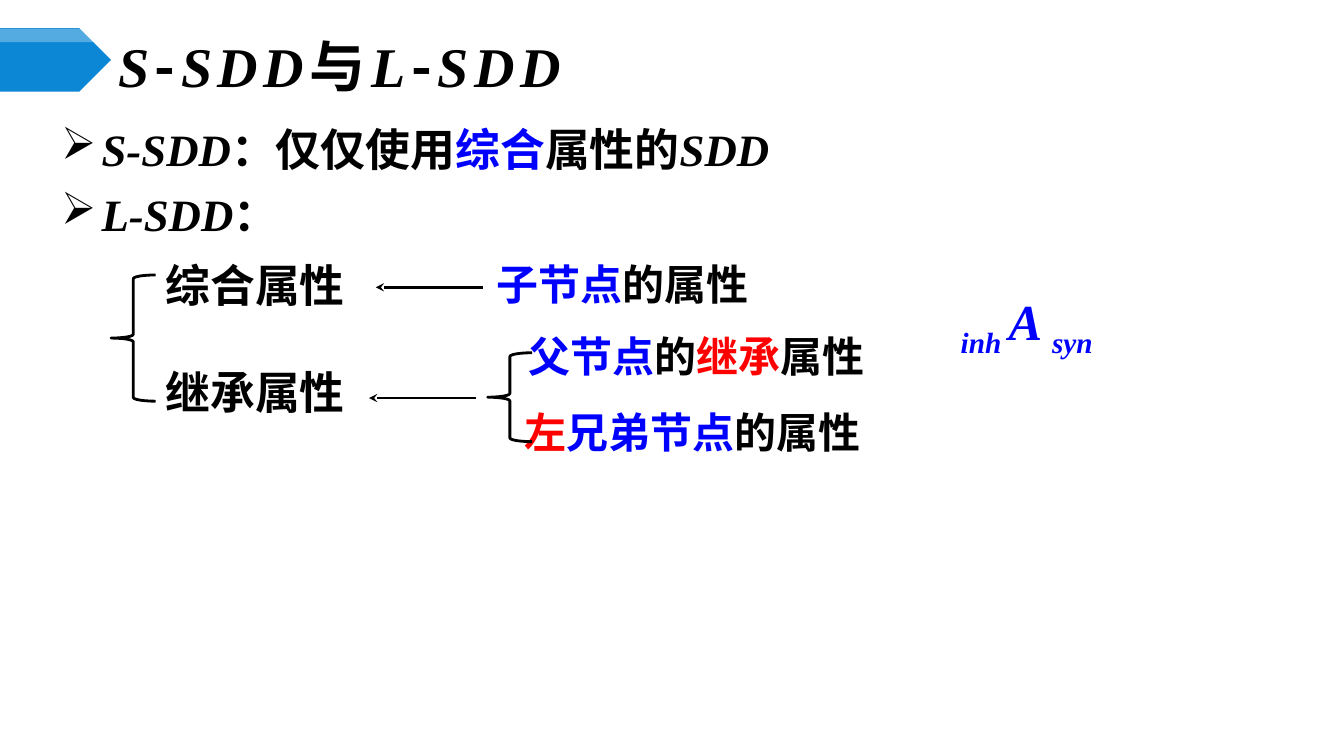
from dataclasses import dataclass

from pptx import Presentation
from pptx.dml.color import RGBColor
from pptx.enum.shapes import MSO_CONNECTOR as CONN, MSO_SHAPE as SHAPE
from pptx.enum.text import MSO_ANCHOR as ANCHOR, PP_ALIGN as ALIGN
from pptx.oxml.ns import qn
from pptx.util import Cm, Pt
from lxml.etree import SubElement


@dataclass(frozen=True)
class Theme:
    black: str = "000000"
    blue: str = "0000FF"
    red: str = "FF0000"
    banner: str = "0B87D6"
    white: str = "FFFFFF"
    latin: str = "Times New Roman"
    label: str = "Cabin"
    cjk: str = "Noto Sans CJK SC"
    title: int = 40
    body: int = 32
    detail: int = 30
    symbol: int = 36
    line: int = 2


T = Theme()


class Deck:
    def __init__(self, slide):
        self.s = slide

    def shape(self, kind, box, fill=None, line=None):
        sp = self.s.shapes.add_shape(kind, *map(Cm, box))
        self.finish(sp, fill, line)
        return sp

    def polygon(self, points, fill, alpha):
        start, *rest = [(Cm(x), Cm(y)) for x, y in points]
        fb = self.s.shapes.build_freeform(*start)
        fb.add_line_segments(rest)
        sp = fb.convert_to_shape()
        self.finish(sp, fill, None)
        clr = sp.fill._xPr.find(".//" + qn("a:srgbClr"))
        SubElement(clr, qn("a:alpha"), val=str(alpha * 1000))

    def finish(self, sp, fill, line):
        sp.shadow.inherit = False
        if fill:
            sp.fill.solid()
            sp.fill.fore_color.rgb = RGBColor.from_string(fill)
        else:
            sp.fill.background()
        if line:
            sp.line.color.rgb = RGBColor.from_string(line)
            sp.line.width = Pt(T.line)
        else:
            sp.line.fill.background()

    def arrow(self, x1, x2, y):
        c = self.s.shapes.add_connector(CONN.STRAIGHT, Cm(x1), Cm(y), Cm(x2), Cm(y))
        c.line.color.rgb = RGBColor.from_string(T.black)
        c.line.width = Pt(T.line)
        SubElement(c.line._get_or_add_ln(), qn("a:tailEnd"), type="stealth")
        SubElement(c._element.spPr, qn("a:effectLst"))

    def text(self, box, paras, size, font=T.latin, frame=None, para=None,
             gap=0, bullet=None, spc=None):
        """Each run is (text, colour, italic[, baseline[, latin font]])."""
        tf = self.s.shapes.add_textbox(*map(Cm, box)).text_frame
        for key, val in {"word_wrap": True, **(frame or {})}.items():
            setattr(tf, key, val)
        for i, runs in enumerate(paras):
            p = tf.paragraphs[0] if i == 0 else tf.add_paragraph()
            if bullet:
                self.bullet(p, bullet)
            for key, val in (para or {}).items():
                setattr(p, key, val)
            if i:
                p.space_before = Pt(gap)
            for run in runs:
                self.run(p, size, font, spc, *run)

    def run(self, p, size, font, spc, text, color, italic, base=0, own_font=None):
        r = p.add_run()
        r.text = text
        fmt = {"size": Pt(size), "name": own_font or font, "bold": True, "italic": italic}
        for key, val in fmt.items():
            setattr(r.font, key, val)
        r.font.color.rgb = RGBColor.from_string(color)
        rPr = r._r.get_or_add_rPr()
        SubElement(rPr, qn("a:ea"), typeface=T.cjk)
        if base:
            rPr.set("baseline", str(base * 1000))
        if spc:
            rPr.set("spc", str(spc * 100))

    def bullet(self, p, char):
        pPr = p._p.get_or_add_pPr()
        pPr.set("marL", str(Cm(2.13)))
        pPr.set("indent", str(-Cm(1.02)))
        clr = SubElement(pPr, qn("a:buClr"))
        SubElement(clr, qn("a:srgbClr"), val=T.black)
        SubElement(pPr, qn("a:buChar"), char=char)


def main():
    prs = Presentation()
    prs.slide_width, prs.slide_height = Cm(33.87), Cm(19.05)
    d = Deck(prs.slides.add_slide(prs.slide_layouts[6]))
    tight = {"margin_left": Cm(0.18), "margin_right": Cm(0.18),
             "margin_top": Cm(0.1), "margin_bottom": Cm(0.1)}
    middle = {"vertical_anchor": ANCHOR.MIDDLE}

    # Banner with its light upper band
    d.shape(SHAPE.PENTAGON, (0, 0.71, 2.8, 1.6), fill=T.banner)
    d.polygon([(0, 0.72), (2.02, 0.72), (2.36, 1.06), (0, 1.06)], T.white, 30)

    # Title
    hyphen = ("-", T.black, False, 0, T.cjk)
    sdd = ("SDD", T.black, True)
    d.text((2.8, 0.99, 29.36, 1.32),
           [[("S", T.black, True), hyphen, sdd, ("与", T.black, False),
             ("L", T.black, True), hyphen, sdd]],
           T.title, frame={**tight, **middle}, spc=4)

    # Definitions
    d.text((0.25, 2.92, 32.28, 11.94),
           [[("S-SDD", T.black, True), ("：仅仅使用", T.black, False),
             ("综合", T.blue, False), ("属性的", T.black, False), sdd],
            [("L-SDD", T.black, True), ("：", T.black, False)]],
           T.body, frame=tight, para={"line_spacing": Pt(40)}, gap=6.4, bullet="➢")

    # Attribute kinds
    d.shape(SHAPE.LEFT_BRACE, (2.8, 6.93, 1.12, 3.18), line=T.black)
    d.text((3.92, 6.38, 7.82, 4.37),
           [[(name, T.black, False)] for name in ("综合属性", "继承属性")],
           T.body, font=T.label, gap=38)

    # Where each kind takes its values from
    sources = [
        (12.27, 6.38, 6.93, [("子节点", T.blue), ("的属性", T.black)]),
        (13.06, 8.2, 9.07, [("父节点", T.blue), ("的", T.black),
                            ("继承", T.red), ("属性", T.black)]),
        (12.98, 10.13, 9.07, [("左", T.red), ("兄弟节点", T.blue), ("的属性", T.black)]),
    ]
    for x, y, w, runs in sources:
        d.text((x, y, w, 1.55), [[(t, c, False) for t, c in runs]],
               T.detail, frame={"word_wrap": False})
    for x, y in ((9.47, 7.24), (9.3, 10.03)):
        d.arrow(x + 2.7, x, y)
    d.shape(SHAPE.LEFT_BRACE, (12.29, 8.89, 1.12, 2.24), line=T.black)

    # Symbol with its two kinds of attributes
    d.text((22.66, 7.29, 6.43, 1.8),
           [[("inh ", T.blue, True, -25), ("A ", T.blue, True), ("syn", T.blue, True, -25)]],
           T.symbol, frame=middle, para={"alignment": ALIGN.CENTER})

    prs.save("out.pptx")


if __name__ == "__main__":
    main()
